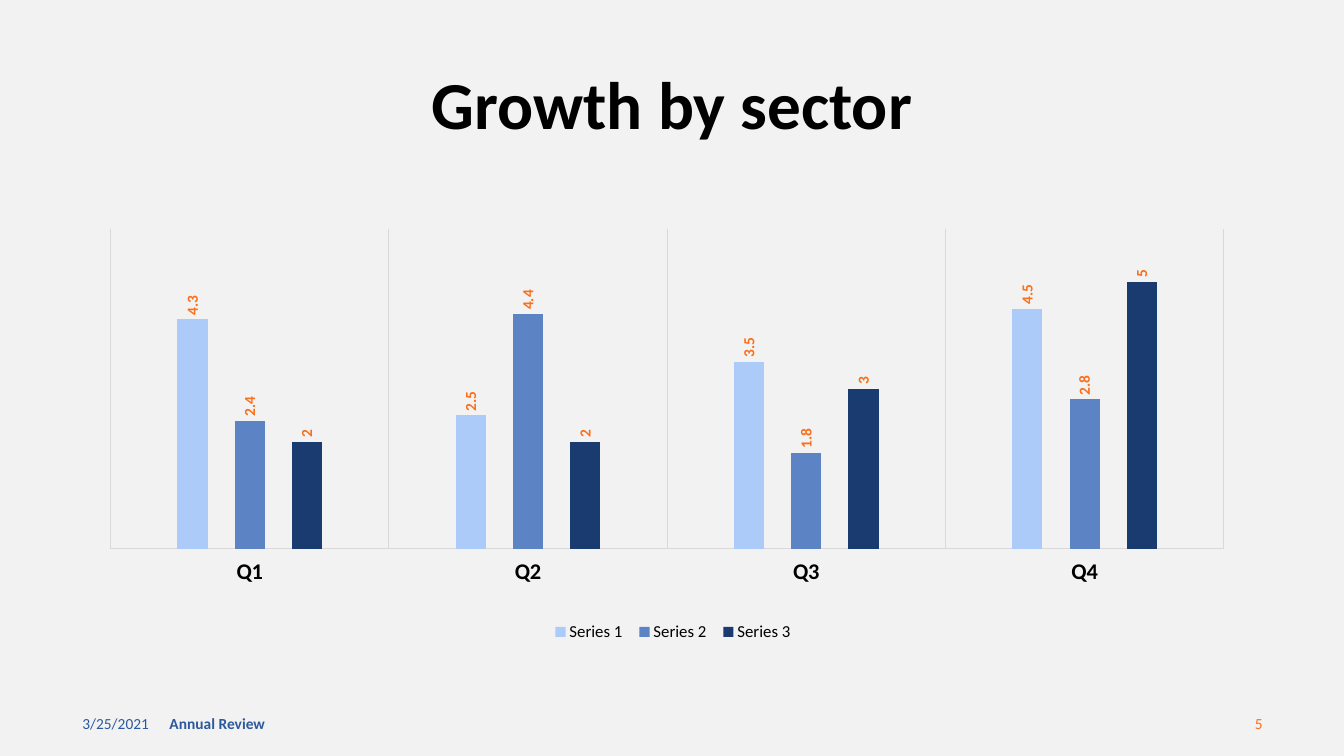
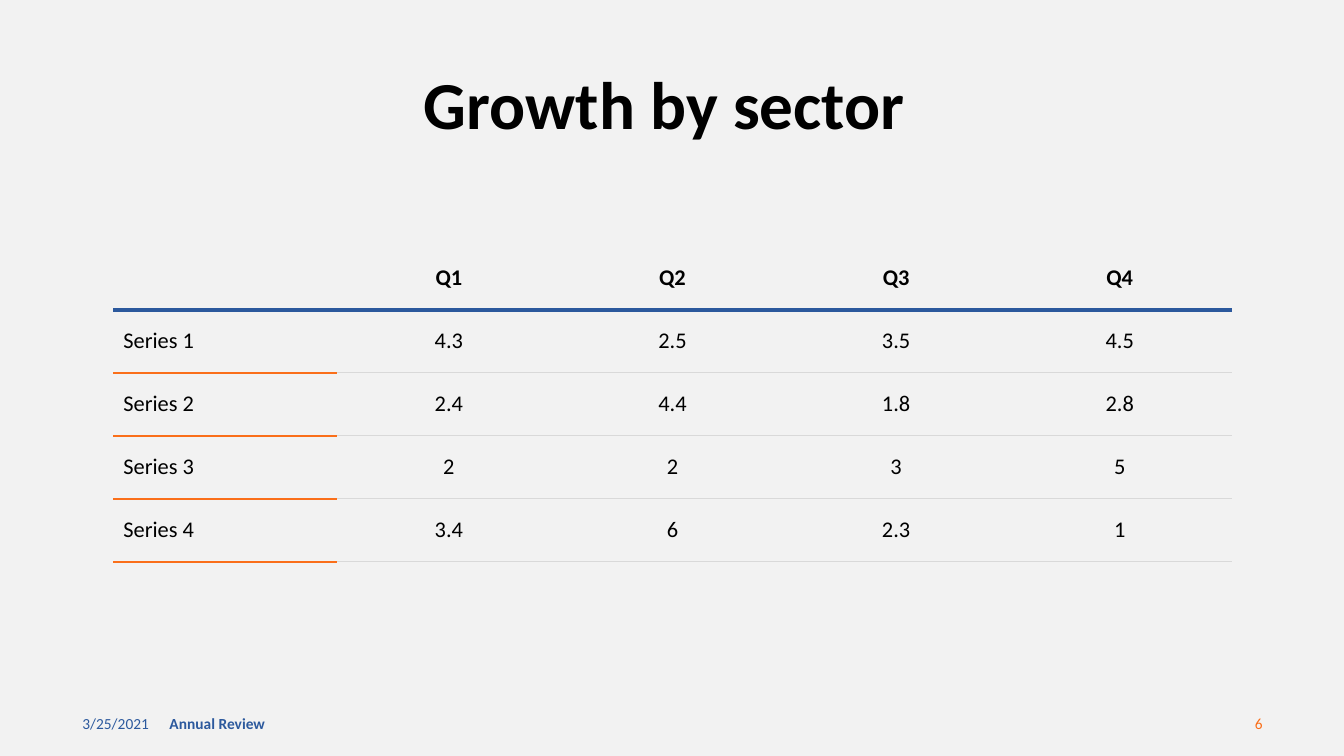
from lxml.etree import SubElement
from pptx import Presentation
from pptx.chart.data import CategoryChartData
from pptx.dml.color import RGBColor
from pptx.enum.chart import (
    XL_CHART_TYPE, XL_LABEL_POSITION, XL_LEGEND_POSITION, XL_TICK_LABEL_POSITION, XL_TICK_MARK,
)
from pptx.enum.text import MSO_ANCHOR, MSO_AUTO_SIZE, PP_ALIGN
from pptx.oxml import parse_xml
from pptx.oxml.ns import nsdecls, qn
from pptx.util import Pt

PIXEL = 9525  # EMU in one px, 96 px to the inch
NO_GRID_STYLE = "{2D5ABB26-0587-4C30-8999-92F81FD0307C}"

# Data shown by both the chart and the table
QUARTERS = ["Q1", "Q2", "Q3", "Q4"]
SECTORS = {
    "Series 1": [4.3, 2.5, 3.5, 4.5],
    "Series 2": [2.4, 4.4, 1.8, 2.8],
    "Series 3": [2, 2, 3, 5],
    "Series 4": [3.4, 6, 2.3, 1],
}


def px(*lengths):
    return [length * PIXEL for length in lengths]


def color(hex_code):
    return RGBColor.from_string(hex_code)


def set_all(target, **formats):
    for name, value in formats.items():
        setattr(target, name, value)


def add_layout(parent, position, x, y, width, height, inner=False):
    """Fix the place of a chart part, as shares of the chart area."""
    old = parent.find(qn("c:layout"))
    if old is not None:
        parent.remove(old)
    layout = parse_xml(f"<c:layout {nsdecls('c')}><c:manualLayout/></c:layout>")
    settings = {"layoutTarget": "inner"} if inner else {}
    settings.update(xMode="edge", yMode="edge", x=x, y=y, w=width, h=height)
    for name, value in settings.items():
        SubElement(layout[0], qn(f"c:{name}")).set("val", str(value))
    parent.insert(position, layout)


class Review:
    FONT = "Calibri"
    BACKGROUND, TEXT, RULE = "F2F2F2", "000000", "D9D9D9"
    BLUE, ORANGE = "2C599D", "FA6F1A"
    SERIES = ["ACCBF9", "5C83C4", "1A3B70"]

    def __init__(self):
        self.deck = Presentation()
        size = px(1280, 720)
        set_all(self.deck, slide_width=size[0], slide_height=size[1])
        fill = self.deck.slide_master.background.fill
        fill.solid()
        fill.fore_color.rgb = color(self.BACKGROUND)
        self.page = None

    def style(self, font, size, hex_code=TEXT, bold=False):
        set_all(font, name=self.FONT, size=Pt(size), bold=bold)
        font.color.rgb = color(hex_code)

    def put_text(self, frame, text, size, hex_code=TEXT, bold=False, align=PP_ALIGN.LEFT):
        para = frame.paragraphs[0]
        para.alignment = align
        span = para.add_run()
        span.text = text
        self.style(span.font, size, hex_code, bold)
        return para

    def add_page(self, title, number):
        self.page = self.deck.slides.add_slide(self.deck.slide_layouts[5])
        # Title
        box = self.page.shapes.title
        left, top, width, height = px(88, 66, 1104, 74)
        set_all(box, left=left, top=top, width=width, height=height)
        set_all(box.text_frame, word_wrap=True, auto_size=MSO_AUTO_SIZE.NONE,
                vertical_anchor=MSO_ANCHOR.MIDDLE)
        para = self.put_text(box.text_frame, title, 48, bold=True, align=PP_ALIGN.CENTER)
        para.line_spacing = 0.9
        # Footer
        self.add_footer("3/25/2021", 69, 288, self.BLUE)
        self.add_footer("Annual Review", 152, 432, self.BLUE, bold=True)
        self.add_footer(str(number), 924, 288, self.ORANGE, align=PP_ALIGN.RIGHT)

    def add_footer(self, text, left, width, hex_code, **formats):
        box = self.page.shapes.add_textbox(*px(left, 670, width, 38))
        set_all(box.text_frame, word_wrap=True, vertical_anchor=MSO_ANCHOR.MIDDLE)
        self.put_text(box.text_frame, text, 11, hex_code, **formats)

    def add_chart(self, bounds, categories, rows):
        data = CategoryChartData()
        data.categories = categories
        for name, values in rows.items():
            data.add_series(name, values)
        chart = self.page.shapes.add_chart(
            XL_CHART_TYPE.COLUMN_CLUSTERED, *px(*bounds), data).chart
        set_all(chart, has_title=False, has_legend=True)
        self.style(chart.font, 10)
        # Columns and their upright labels
        plot = chart.plots[0]
        set_all(plot, gap_width=444, overlap=-90, vary_by_categories=False)
        for series, hex_code in zip(plot.series, self.SERIES):
            series.format.fill.solid()
            series.format.fill.fore_color.rgb = color(hex_code)
            labels = series.data_labels
            set_all(labels, show_value=True, position=XL_LABEL_POSITION.OUTSIDE_END)
            self.style(labels.font, 11, self.ORANGE, bold=True)
            body = labels._element.find(qn("c:txPr")).find(qn("a:bodyPr"))
            body.set("rot", "-5400000")
            body.set("vert", "horz")
        # Axes
        axis = chart.category_axis
        set_all(axis, has_major_gridlines=True, major_tick_mark=XL_TICK_MARK.NONE,
                tick_label_position=XL_TICK_LABEL_POSITION.LOW)
        self.style(axis.tick_labels.font, 16, bold=True)
        for line in (axis.format.line, axis.major_gridlines.format.line):
            line.width = Pt(0.75)
            line.color.rgb = color(self.RULE)
        set_all(chart.value_axis, minimum_scale=0, maximum_scale=6,
                has_major_gridlines=False, visible=False)
        # Legend and plot area
        legend = chart.legend
        set_all(legend, position=XL_LEGEND_POSITION.TOP, include_in_layout=False)
        self.style(legend.font, 12)
        add_layout(legend._element, 1, 0.39, 0.9, 0.22, 0.05)
        plot_area = chart._chartSpace.chart.plotArea
        add_layout(plot_area, 0, 0.02, 0.03, 0.95, 0.71, inner=True)

    def add_table(self, left, top, column_width, row_height, rows):
        columns = len(rows[0])
        table = self.page.shapes.add_table(
            len(rows), columns,
            *px(left, top, column_width * columns, row_height * len(rows))).table
        set_all(table, first_row=False, horz_banding=False)
        table._tbl.tblPr.find(qn("a:tableStyleId")).text = NO_GRID_STYLE
        for row_index, row in enumerate(rows):
            header = row_index == 0
            for column_index, text in enumerate(row):
                first = column_index == 0
                cell = table.cell(row_index, column_index)
                cell.vertical_anchor = MSO_ANCHOR.MIDDLE
                if text:
                    self.put_text(cell.text_frame, text, 16, bold=header,
                                  align=PP_ALIGN.LEFT if first else PP_ALIGN.CENTER)
                if header:
                    self.underline(cell, self.BLUE, 3)
                elif row_index < len(rows) - 1:
                    rule = (self.ORANGE, 1.5) if first else (self.RULE, 1)
                    self.underline(cell, *rule)
                cell.fill.background()

    def underline(self, cell, hex_code, width):
        cell._tc.get_or_add_tcPr().append(parse_xml(
            f'<a:lnB {nsdecls("a")} w="{Pt(width)}"><a:solidFill>'
            f'<a:srgbClr val="{hex_code}"/></a:solidFill></a:lnB>'))


def main():
    review = Review()

    # Chart of the first three series
    review.add_page("Growth by sector", 5)
    charted = dict(list(SECTORS.items())[:3])
    review.add_chart((83, 205, 1116, 429), QUARTERS, charted)

    # Table of all series, closed by an empty row
    review.add_page("Growth by sector ", 6)
    rows = [["", *QUARTERS]]
    rows += [[name, *(f"{value:g}" for value in values)] for name, values in SECTORS.items()]
    rows.append([""] * len(rows[0]))
    review.add_table(108, 235, 213, 60, rows)

    review.deck.save("out.pptx")


if __name__ == "__main__":
    main()
